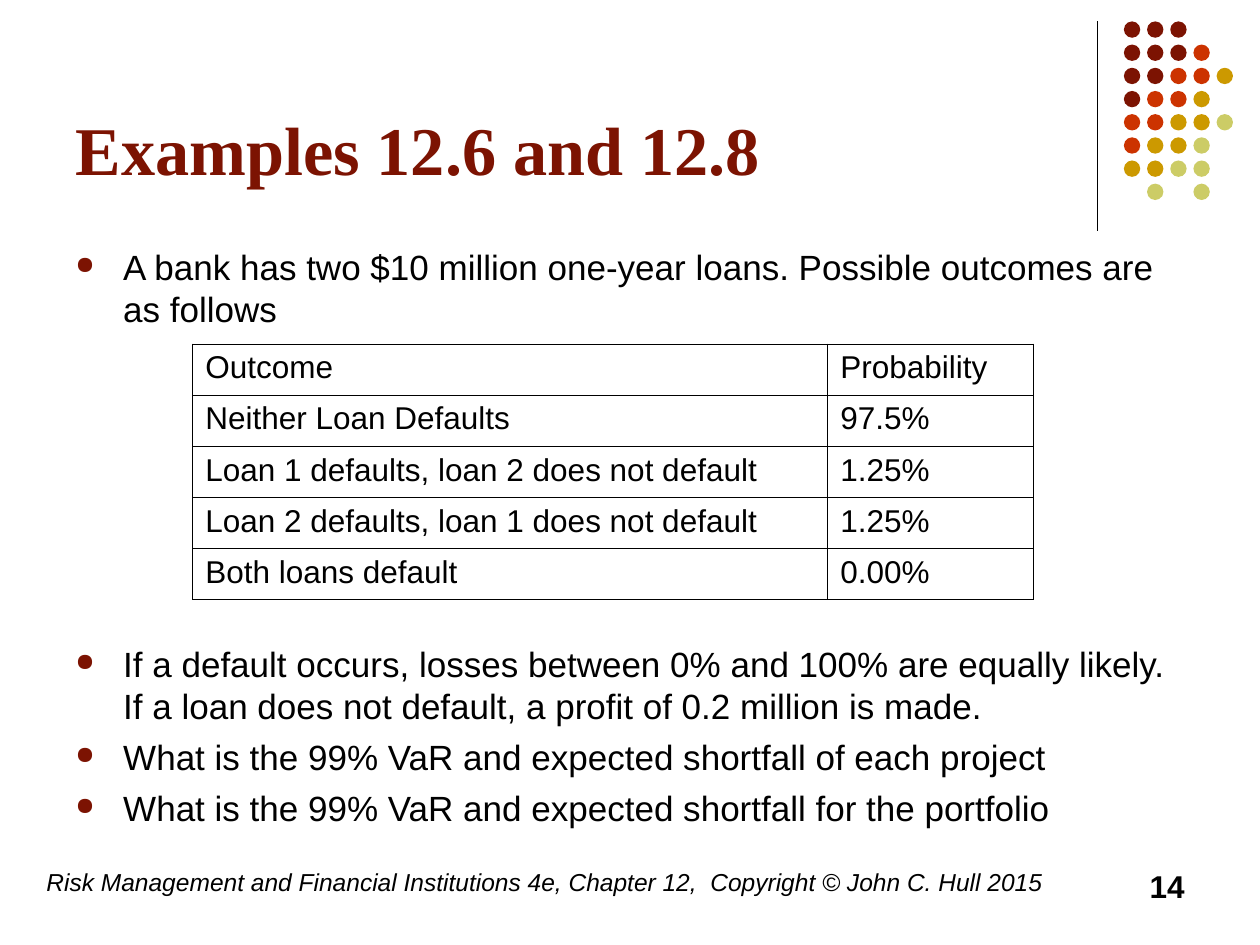
from typing import NamedTuple

from lxml import etree
from pptx import Presentation
from pptx.dml.color import RGBColor
from pptx.enum.shapes import MSO_CONNECTOR, MSO_SHAPE
from pptx.enum.text import MSO_ANCHOR, MSO_AUTO_SIZE, PP_ALIGN
from pptx.oxml.ns import qn
from pptx.util import Inches, Pt

STRAIGHT = MSO_CONNECTOR.STRAIGHT
ELLIPSE = MSO_SHAPE.OVAL
BOTTOM = MSO_ANCHOR.BOTTOM
NO_AUTOFIT = MSO_AUTO_SIZE.NONE
LEFT, RIGHT = PP_ALIGN.LEFT, PP_ALIGN.RIGHT

COLORS = {
    "text": "000000",
    "maroon": "7C1302",
    "red": "CC3300",
    "gold": "CC9900",
    "olive": "CCCC66",
}
DOT_COLORS = {"M": "maroon", "R": "red", "G": "gold", "O": "olive"}
DOT_ROWS = ["MMM", "MMMR", "MMRRG", "MRRG", "RRGGO", "RGGO", "GGOO", " O O"]
DOT_LEFT, DOT_TOP = 8.92, 0.17
DOT_PITCH, DOT_SIZE = 0.184, 0.13

OUTCOMES = [
    ("Outcome", "Probability"),
    ("Neither Loan Defaults", "97.5%"),
    ("Loan 1 defaults, loan 2 does not default", "1.25%"),
    ("Loan 2 defaults, loan 1 does not default", "1.25%"),
    ("Both loans default", "0.00%"),
]
COLUMN_WIDTHS = (5.04, 1.63)
ROW_HEIGHT = 0.406


class Box(NamedTuple):
    left: float
    top: float
    width: float
    height: float

    def inches(self):
        return [Inches(value) for value in self]


class Style(NamedTuple):
    size: float
    font: str = "Arial"
    color: str = "text"
    bold: bool = False
    italic: bool = False


class Bullet(NamedTuple):
    text: str
    space_before: float


class Footer(NamedTuple):
    text: str
    box: Box
    style: Style
    alignment: PP_ALIGN


BULLETS = [
    Bullet("A bank has two $10 million one-year loans. "
           "Possible outcomes are as follows", 0),
    # The wide space leaves room for the table.
    Bullet("If a default occurs, losses between 0% and 100% are equally likely. "
           "If a loan does not default, a profit of 0.2 million is made.", 179),
    Bullet("What is the 99% VaR and expected shortfall of each project", 5),
    Bullet("What is the 99% VaR and expected shortfall for the portfolio", 5),
]
FOOTERS = [
    Footer("Risk Management and Financial Institutions 4e, Chapter 12,  "
           "Copyright © John C. Hull 2015",
           Box(0.27, 6.83, 8.27, 0.5), Style(14, italic=True), LEFT),
    Footer("14", Box(7.17, 6.83, 2.33, 0.5), Style(18, bold=True), RIGHT),
]


def rgb(name: str) -> RGBColor:
    return RGBColor.from_string(COLORS[name])


def add_run(paragraph, text: str, style: Style) -> None:
    run = paragraph.add_run()
    run.text = text
    run.font.size = Pt(style.size)
    run.font.name = style.font
    run.font.bold = style.bold
    run.font.italic = style.italic
    run.font.color.rgb = rgb(style.color)


def add_dots(slide) -> None:
    for row, pattern in enumerate(DOT_ROWS):
        for column, key in enumerate(pattern):
            if key == " ":
                continue
            box = Box(DOT_LEFT + column * DOT_PITCH, DOT_TOP + row * DOT_PITCH,
                      DOT_SIZE, DOT_SIZE)
            dot = slide.shapes.add_shape(ELLIPSE, *box.inches())
            dot.shadow.inherit = False
            dot.fill.solid()
            dot.fill.fore_color.rgb = rgb(DOT_COLORS[key])
            dot.line.fill.background()


def add_divider(slide) -> None:
    divider = slide.shapes.add_connector(
        STRAIGHT, Inches(8.71), Inches(0.17), Inches(8.71), Inches(1.83))
    divider.line.color.rgb = rgb("text")
    divider.line.width = Pt(0.75)
    etree.SubElement(divider._element.spPr, qn("a:effectLst"))


def format_title(slide) -> None:
    title = slide.shapes.title
    title.left, title.top, title.width, title.height = (
        Box(0.5, 0.13, 8.25, 1.42).inches())
    frame = title.text_frame
    frame.auto_size = NO_AUTOFIT
    frame.vertical_anchor = BOTTOM
    paragraph = frame.paragraphs[0]
    paragraph.alignment = LEFT
    add_run(paragraph, "Examples 12.6 and 12.8",
            Style(39, "Times New Roman", "maroon", bold=True))


def set_bullet(paragraph) -> None:
    properties = paragraph._p.get_or_add_pPr()
    properties.set("marL", str(Inches(0.38)))
    properties.set("indent", str(Inches(-0.38)))
    color = etree.SubElement(properties, qn("a:buClr"))
    etree.SubElement(color, qn("a:srgbClr"), val=COLORS["maroon"])
    etree.SubElement(properties, qn("a:buSzPct"), val="70000")
    etree.SubElement(properties, qn("a:buChar"), char="●")


def add_text_frame(slide, box: Box):
    frame = slide.shapes.add_textbox(*box.inches()).text_frame
    frame.word_wrap = True
    return frame


def add_bullets(slide) -> None:
    frame = add_text_frame(slide, Box(0.5, 1.9, 9, 4.8))
    for index, bullet in enumerate(BULLETS):
        paragraph = frame.add_paragraph() if index else frame.paragraphs[0]
        set_bullet(paragraph)
        paragraph.line_spacing = Pt(24)
        paragraph.space_before = Pt(bullet.space_before)
        add_run(paragraph, bullet.text, Style(20))


def set_borders(cell) -> None:
    properties = cell._tc.get_or_add_tcPr()
    for position, side in enumerate(("lnL", "lnR", "lnT", "lnB")):
        line = etree.Element(qn(f"a:{side}"), w=str(Pt(0.45)))
        fill = etree.SubElement(line, qn("a:solidFill"))
        etree.SubElement(fill, qn("a:srgbClr"), val=COLORS["text"])
        properties.insert(position, line)


def add_outcome_table(slide) -> None:
    box = Box(1.53, 2.73, sum(COLUMN_WIDTHS), ROW_HEIGHT * len(OUTCOMES))
    table = slide.shapes.add_table(
        len(OUTCOMES), len(COLUMN_WIDTHS), *box.inches()).table
    table.first_row = table.horz_banding = False
    for column, width in zip(table.columns, COLUMN_WIDTHS):
        column.width = Inches(width)
    for row, values in zip(table.rows, OUTCOMES):
        for cell, text in zip(row.cells, values):
            cell.fill.background()
            set_borders(cell)
            add_run(cell.text_frame.paragraphs[0], text, Style(18))


def add_footer(slide, footer: Footer) -> None:
    paragraph = add_text_frame(slide, footer.box).paragraphs[0]
    paragraph.alignment = footer.alignment
    add_run(paragraph, footer.text, footer.style)


def main() -> None:
    presentation = Presentation()
    presentation.slide_width, presentation.slide_height = Inches(10), Inches(7.5)
    slide = presentation.slides.add_slide(
        presentation.slide_layouts.get_by_name("Title Only"))
    add_divider(slide)
    add_dots(slide)
    format_title(slide)
    add_bullets(slide)
    for footer in FOOTERS:
        add_footer(slide, footer)
    add_outcome_table(slide)
    presentation.save("out.pptx")


if __name__ == "__main__":
    main()
